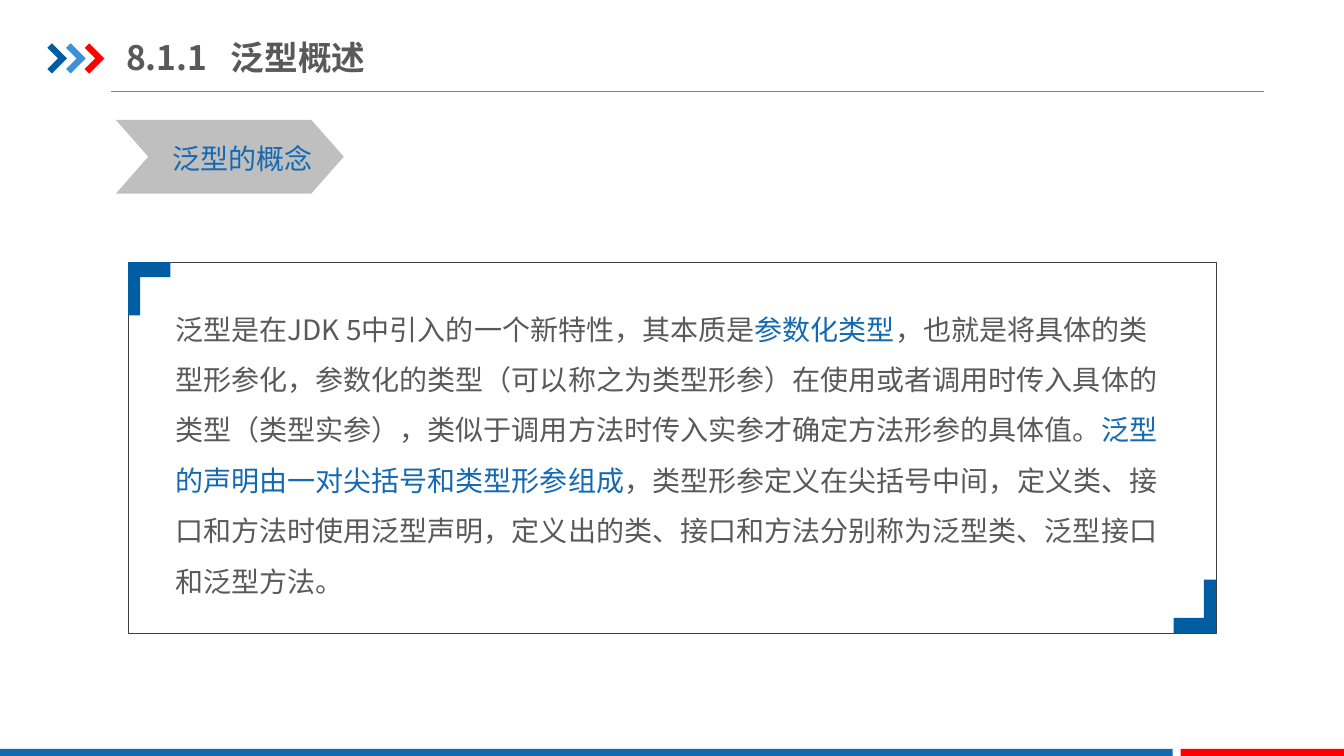
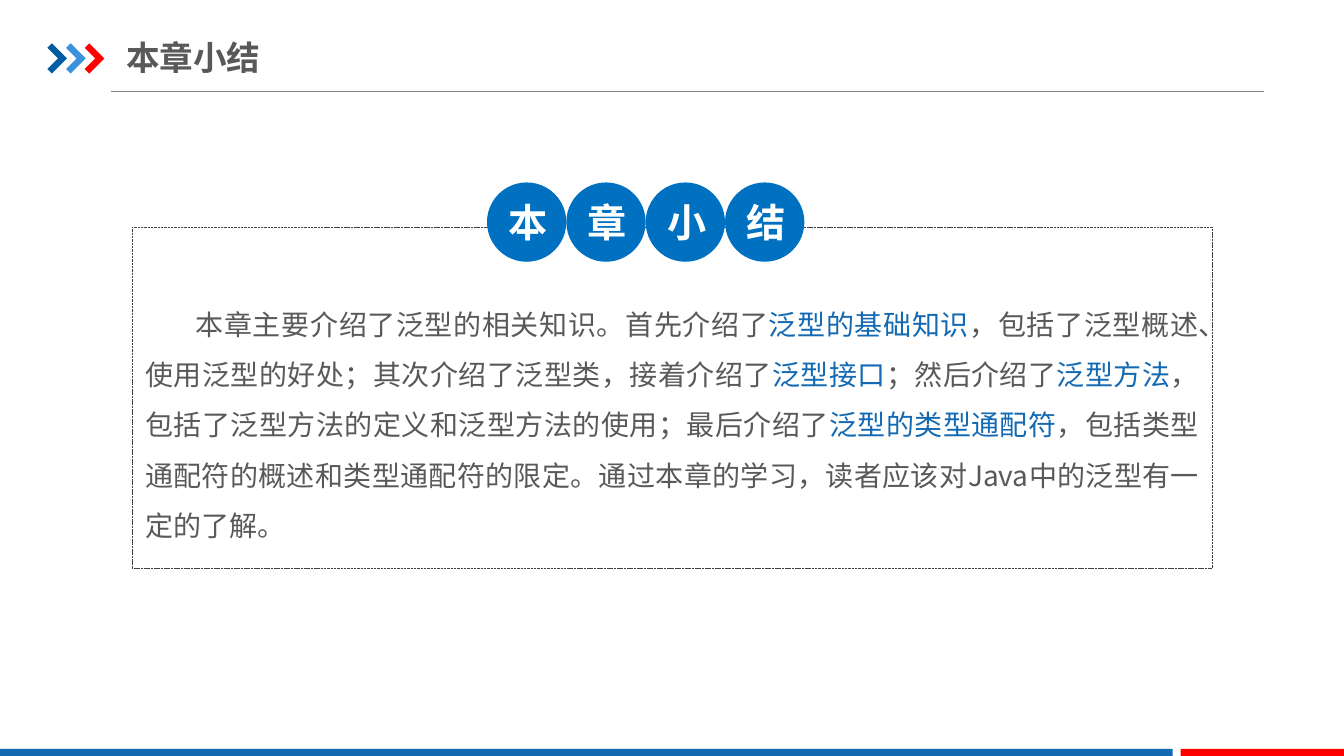
from lxml import etree
from pptx import Presentation, util as u
from pptx.dml.color import RGBColor
from pptx.enum import dml, shapes, text
from pptx.oxml.ns import qn

FONT = "Noto Sans CJK SC"
NAVY = RGBColor(0x00, 0x5D, 0xA2)
SKY = RGBColor(0x39, 0x92, 0xDB)
RED = RGBColor(0xFF, 0x00, 0x00)
BLUE = RGBColor(0x13, 0x69, 0xB2)
DISC = RGBColor(0x00, 0x70, 0xC0)
INK = RGBColor(0x59, 0x59, 0x59)
EDGE = RGBColor(0x40, 0x40, 0x40)
RULE = RGBColor(0x80, 0x80, 0x80)
GREY = RGBColor(0xBF, 0xBF, 0xBF)
WHITE = RGBColor(0xFF, 0xFF, 0xFF)
CELL = u.Inches(0.1)  # the grid: 133.33 columns by 75 rows
KIND = shapes.MSO_SHAPE


def draw(page, kind, grid, fill=None, edge=None):
    """Draw a preset (left, top, width, height), a text box or an outline (points)."""
    if kind == "text":
        return page.shapes.add_textbox(*[round(n * CELL) for n in grid])
    if kind == "free":
        dots = [(round(x * CELL), round(y * CELL)) for x, y in grid]
        pen = page.shapes.build_freeform(*dots[0])
        pen.add_line_segments(dots[1:], close=True)
        item = pen.convert_to_shape()
    else:
        item = page.shapes.add_shape(kind, *[round(n * CELL) for n in grid])
    item.shadow.inherit = False
    for part, tint in ((item.fill, fill), (item.line.fill, edge)):
        if tint is None:
            part.background()
        else:
            part.solid()
            part.fore_color.rgb = tint
    if edge is not None:
        item.line.width = u.Pt(0.25)
    return item


def write(item, runs, size=20, tint=INK, bold=False, para=None, **frame):
    """Write runs in one paragraph; every second run is highlighted."""
    box = item.text_frame
    line = box.paragraphs[0]
    for goal, look in ((box, {"word_wrap": True, **frame}), (line, para or {})):
        for key, val in look.items():
            setattr(goal, key, val)
    for i, words in enumerate(runs):
        run = line.add_run()
        run.text = words
        look = {"name": FONT, "size": u.Pt(size), "bold": bold}
        for key, val in look.items():
            setattr(run.font, key, val)
        run.font.color.rgb = BLUE if i % 2 else tint
        east = etree.SubElement(run._r.get_or_add_rPr(), qn("a:ea"))
        east.set("typeface", FONT)
    return line


deck = Presentation()
deck.slide_width, deck.slide_height = u.Inches(13.33), u.Inches(7.5)

# Layout: only the title placeholder, moved to the header
base = deck.slide_layouts[5]
for spot in list(base.placeholders):
    if spot.placeholder_format.type == shapes.PP_PLACEHOLDER.TITLE:
        place = {"left": 12.5, "top": 2.9, "width": 62, "height": 5.5}
        for key, val in place.items():
            setattr(spot, key, round(val * CELL))
    else:
        base.shapes.element.remove(spot.element)

one, two = [deck.slides.add_slide(base) for _ in range(2)]

# Shared header and footer, drawn once and moved into the layout
rule = one.shapes.add_connector(
    shapes.MSO_CONNECTOR.STRAIGHT,
    *[round(n * CELL) for n in (11, 9.1, 125.4, 9.1)])
rule.line.color.rgb = RULE
rule.line.width = u.Pt(0.75)
etree.SubElement(rule.element.spPr, qn("a:effectLst"))
deco = [rule]
arrow = [(0, 0.45), (0.45, 0), (1.95, 1.5), (0.45, 3), (0, 2.55), (1.05, 1.5)]
for i, tint in enumerate((NAVY, SKY, RED)):
    dots = [(4.7 + 1.85 * i + x, 4.3 + y) for x, y in arrow]
    deco.append(draw(one, "free", dots, tint))
for left, wide, tint in ((0, 116.3, BLUE), (117.1, 16.2, RED)):
    deco.append(draw(one, KIND.RECTANGLE, (left, 74.3, wide, 0.7), tint))
for item in deco:
    base.shapes.element.append(item.element)

# Titles
for page, words in ((one, "8.1.1\t泛型概述"), (two, "本章小结")):
    line = write(page.shapes.title, [words], 24, bold=True,
                 para={"alignment": text.PP_ALIGN.LEFT},
                 vertical_anchor=text.MSO_ANCHOR.MIDDLE,
                 margin_left=0, margin_right=0)
    if "\t" in words:
        tabs = etree.SubElement(line._p.get_or_add_pPr(), qn("a:tabLst"))
        stop = etree.SubElement(tabs, qn("a:tab"))
        stop.set("pos", str(round(10.4 * CELL)))
        stop.set("algn", "l")

# Slide 1: section label
tag = draw(one, KIND.CHEVRON, (11.5, 11.9, 22.6, 7.3), GREY)
tag.adjustments[0] = 0.44
write(draw(one, "text", (16.1, 13.5, 15.9, 4.4)), ["泛型的概念"],
      tint=BLUE, word_wrap=False)

# Slide 1: framed definition
write(draw(one, "text", (16.4, 28.8, 100.8, 31.3)), [
    "泛型是在JDK 5中引入的一个新特性，其本质是",
    "参数化类型",
    "，也就是将具体的类型形参化，参数化的类型（可以称之为类型形参）在使用或者调用时"
    "传入具体的类型（类型实参），类似于调用方法时传入实参才确定方法形参的具体值。",
    "泛型的声明由一对尖括号和类型形参组成",
    "，类型形参定义在尖括号中间，定义类、接口和方法时使用泛型声明，"
    "定义出的类、接口和方法分别称为泛型类、泛型接口和泛型方法。",
], para={"line_spacing": 1.5})
left, top, wide, high = 12.7, 26, 107.9, 36.8
draw(one, KIND.RECTANGLE, (left, top, wide, high), edge=EDGE)
hook = [(0, 0), (4.2, 0), (4.2, 1.5), (1.2, 1.5), (1.2, 5.3), (0, 5.3)]
for x, y, way in ((left, top, 1), (left + wide, top + high, -1)):
    draw(one, "free", [(x + way * dx, y + way * dy) for dx, dy in hook], NAVY)

# Slide 2: summary in a dashed frame
line = write(draw(two, "text", (13.1, 28.1, 107.1, 26.6)), [
    "本章主要介绍了泛型的相关知识。首先介绍了",
    "泛型的基础知识",
    "，包括了泛型概述、使用泛型的好处；其次介绍了泛型类，接着介绍了",
    "泛型接口",
    "；然后介绍了",
    "泛型方法",
    "，包括了泛型方法的定义和泛型方法的使用；最后介绍了",
    "泛型的类型通配符",
    "，包括类型通配符的概述和类型通配符的限定。"
    "通过本章的学习，读者应该对Java中的泛型有一定的了解。",
], para={"line_spacing": 1.5, "alignment": text.PP_ALIGN.JUSTIFY},
    margin_left=u.Inches(0.13), margin_right=u.Inches(0.13),
    margin_top=u.Inches(0.07), margin_bottom=u.Inches(0.07))
line._p.get_or_add_pPr().set("indent", str(5 * CELL))
rim = draw(two, KIND.RECTANGLE, (13.1, 22.5, 107.1, 33.9), edge=EDGE)
rim.line.dash_style = dml.MSO_LINE.SQUARE_DOT

# Slide 2: one disc for each character
size = 7.87
for i, word in enumerate("本章小结"):
    disc = draw(two, KIND.OVAL, (48.3 + i * size, 18.1, size, size), DISC)
    write(disc, [word], 28, WHITE, True,
          para={"alignment": text.PP_ALIGN.CENTER},
          vertical_anchor=text.MSO_ANCHOR.MIDDLE)

deck.save("out.pptx")
